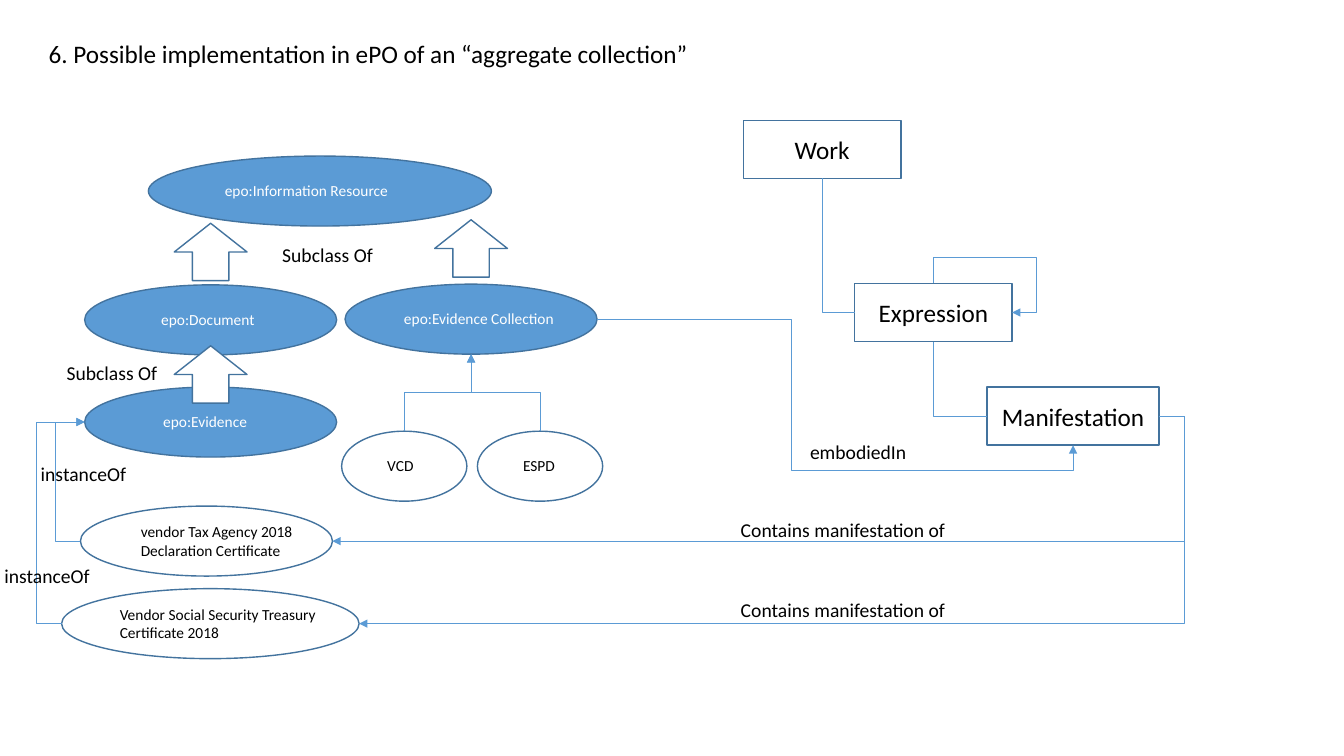
from pptx import Presentation
from pptx.dml.color import RGBColor
from pptx.enum.shapes import MSO_CONNECTOR as CONN, MSO_SHAPE as SHAPE
from pptx.enum.text import MSO_ANCHOR as ANCHOR, MSO_AUTO_SIZE as AUTO, PP_ALIGN as ALIGN
from pptx.oxml.ns import qn
from pptx.util import Pt
from lxml.etree import SubElement


def paint(fmt, color):
    if hasattr(fmt, "solid"):
        fmt.solid()
        fmt.fore_color.rgb = RGBColor.from_string(color)
    else:
        fmt.color.rgb = RGBColor.from_string(color)


def write(s, text, size=14, color="000000", align=ALIGN.LEFT, anchor=ANCHOR.TOP, wrap=False):
    tf = s.text_frame
    tf.auto_size = AUTO.NONE
    tf.word_wrap = wrap
    tf.vertical_anchor = anchor
    tf.text = text
    for p in tf.paragraphs:
        p.alignment = align
        p.font.name = "Calibri"
        p.font.size = Pt(size)
        paint(p.font, color)


BLUE, EDGE, WHITE, BLACK = "5B9BD5", "43739E", "FFFFFF", "000000"

prs = Presentation()
prs.slide_width, prs.slide_height = Pt(960), Pt(540)
slide = prs.slides.add_slide(prs.slide_layouts[5])
shapes = slide.shapes

title = shapes.title
title.left, title.top, title.width, title.height = Pt(27.5), Pt(24), Pt(476.5), Pt(29)
write(title, "6. Possible implementation in ePO of an “aggregate collection”", size=18)

ellipses = [
    ("epo:Information Resource", 106, 111.5, 245, 153.5, 180, BLUE),
    ("epo:Document", 60.5, 203.5, 180, 108, 84, BLUE),
    ("epo:Evidence Collection", 246.5, 203, 180, 281.5, 122.5, BLUE),
    ("epo:Evidence", 60.5, 276.5, 180, 109.5, 75, BLUE),
    ("vendor Tax Agency 2018\nDeclaration Certificate", 57.5, 361.5, 180, 93.5, 122.5, None),
    ("Vendor Social Security Treasury\nCertificate 2018", 44, 420.5, 212.5, 78.5, 152.5, None),
    ("VCD", 244, 308, 89.5, 269.5, 34, None),
    ("ESPD", 341, 308, 89.5, 366.5, 37.5, None),
]
for text, x, y, w, text_x, text_w, fill in ellipses:
    group = shapes.add_group_shape()
    s = group.shapes.add_shape(SHAPE.OVAL, Pt(x), Pt(y), Pt(w), Pt(50))
    s.shadow.inherit = False
    if fill:
        paint(s.fill, fill)
    else:
        s.fill.background()
    paint(s.line, EDGE)
    s.line.width = Pt(1)
    text_h = 34 if "\n" in text else 21
    box = group.shapes.add_textbox(Pt(text_x), Pt(y + 25 - text_h / 2), Pt(text_w), Pt(text_h))
    write(box, text, size=11, color=WHITE if fill else BLACK)

for x, y in [(124.5, 159.5), (310.5, 157), (124.5, 247)]:
    s = shapes.add_shape(SHAPE.UP_ARROW, Pt(x), Pt(y), Pt(52), Pt(41))
    s.shadow.inherit = False
    paint(s.fill, WHITE)
    paint(s.line, EDGE)
    s.line.width = Pt(1)

for text, x, y, w in [("Work", 531, 86, 112.5),
                      ("Expression", 610.5, 202.5, 112.5),
                      ("Manifestation", 705, 276.5, 123)]:
    s = shapes.add_shape(SHAPE.RECTANGLE, Pt(x), Pt(y), Pt(w), Pt(41.5))
    s.shadow.inherit = False
    s.fill.background()
    paint(s.line, EDGE)
    s.line.width = Pt(1)
    write(s, text, size=18, align=ALIGN.CENTER, anchor=ANCHOR.MIDDLE, wrap=True)

bends = [
    (610.5, 223.25, 587.25, 127.5, None, None, None),
    (705, 297.25, 666.75, 244, None, None, None),
    (426.5, 228, 766.5, 318, 565.5, 336, "tailEnd"),
    (723, 223.25, 666.75, 202.5, 740.5, 184, "headEnd"),
    (828, 297.25, 237.5, 386.5, 846, None, "tailEnd"),
    (828, 297.25, 256.5, 445.5, 846, None, "tailEnd"),
    (57.5, 386.5, 60.5, 301.5, 39.5, None, "tailEnd"),
    (44, 445.5, 60.5, 301.5, 26, None, "tailEnd"),
    (288.75, 308, 336.5, 253, "upright", None, "tailEnd"),
    (385.75, 308, 336.5, 253, "upright", None, "tailEnd"),
]
for x1, y1, x2, y2, via_x, via_y, arrow in bends:
    upright = via_x == "upright"
    if upright:
        cx, cy, w, h = (x1 + x2) / 2, (y1 + y2) / 2, y1 - y2, x2 - x1
        x1, y1, x2, y2 = cx - w / 2, cy - h / 2, cx + w / 2, cy + h / 2
        via_x = cx
    c = shapes.add_connector(CONN.ELBOW, Pt(x1), Pt(y1), Pt(x2), Pt(y2))
    paint(c.line, BLUE)
    c.line.width = Pt(0.5)
    spPr = c._element.spPr
    if upright:
        spPr.find(qn("a:xfrm")).set("rot", str(270 * 60000))
    turns = []
    if via_x is not None:
        turns.append((via_x - x1) / (x2 - x1))
    if via_y is not None:
        turns.append((via_y - y1) / (y2 - y1))
    geom = spPr.find(qn("a:prstGeom"))
    geom.set("prst", f"bentConnector{len(turns) + 2}")
    guides = geom.find(qn("a:avLst"))
    for i, turn in enumerate(turns, 1):
        SubElement(guides, qn("a:gd"), name=f"adj{i}", fmla=f"val {round(turn * 100000)}")
    if arrow:
        SubElement(spPr.find(qn("a:ln")), qn(f"a:{arrow}"), type="triangle")
    SubElement(spPr, qn("a:effectLst"))

for text, x, y, w in [("Subclass Of", 194.5, 170, 80),
                      ("Subclass Of", 40.5, 254.5, 80),
                      ("instanceOf", 22, 326.5, 76.5),
                      ("instanceOf", -4, 399.5, 76.5),
                      ("embodiedIn", 571.5, 310.5, 84),
                      ("Contains manifestation of", 522, 366.5, 162),
                      ("Contains manifestation of", 522, 423.5, 162)]:
    write(shapes.add_textbox(Pt(x), Pt(y), Pt(w), Pt(24.5)), text)

prs.save("out.pptx")
